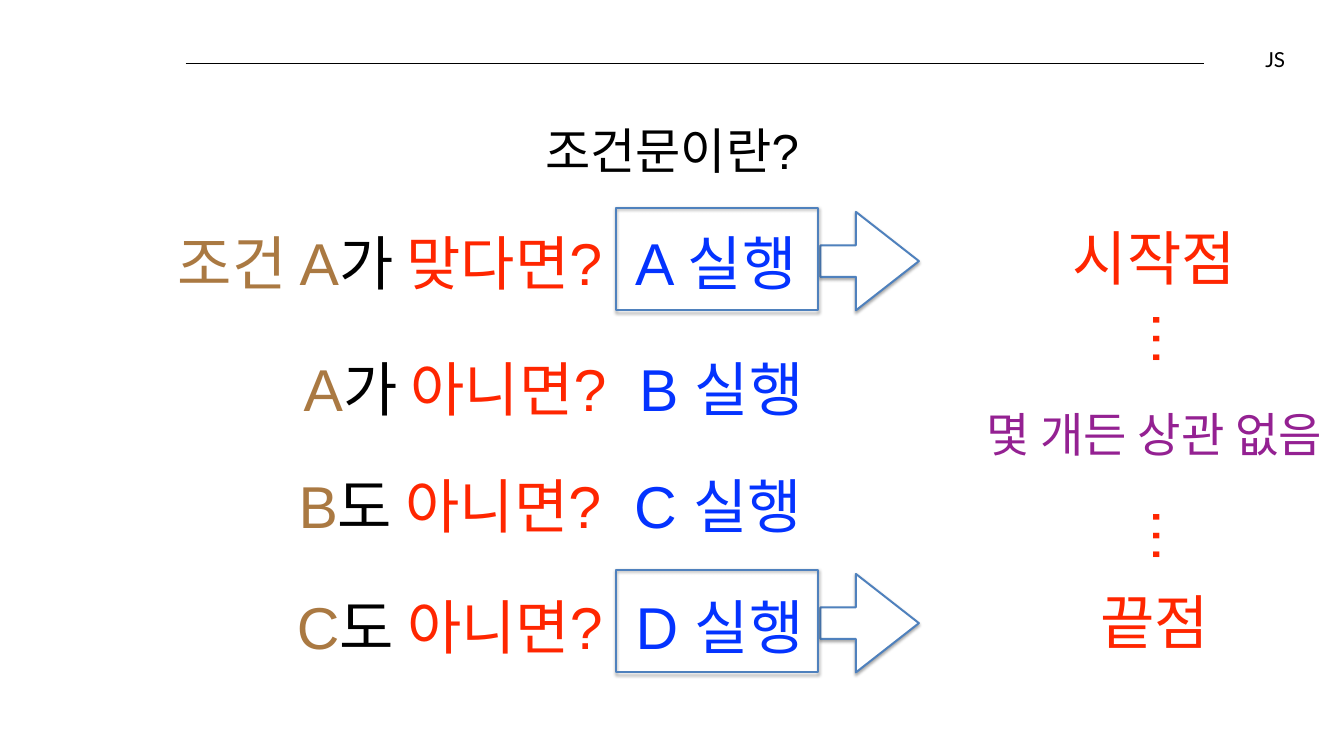
from dataclasses import dataclass

from lxml.etree import SubElement
from pptx import Presentation
from pptx.dml.color import RGBColor
from pptx.enum.shapes import MSO_CONNECTOR, MSO_SHAPE
from pptx.enum.text import MSO_ANCHOR, MSO_AUTO_SIZE, PP_ALIGN
from pptx.oxml.ns import qn
from pptx.util import Pt

PX = 9144  # EMU per px, 100 px to the inch


@dataclass(frozen=True)
class Theme:
    font: str = "Arial"
    label_font: str = "Lato"
    black: str = "000000"
    white: str = "FFFFFF"
    brown: str = "AA7942"
    red: str = "FF2600"
    blue: str = "0433FF"
    purple: str = "942192"
    outline: str = "4F81BD"
    body: int = 60
    heading: int = 50
    remark: int = 48
    label: int = 21


def add_span(para, text, *, font, size, color, spacing=0):
    span = para.add_run()
    span.text = text
    span.font.name = font
    span.font.size = Pt(size)
    span.font.color.rgb = RGBColor.from_string(color)
    if spacing:
        span.font._element.set("spc", str(spacing))


class SlideBuilder:
    def __init__(self, page, theme):
        self.page = page
        self.theme = theme

    def rule(self, left, right, top):
        line = self.page.shapes.add_connector(
            MSO_CONNECTOR.STRAIGHT, left * PX, top * PX, right * PX, top * PX)
        line.line.color.rgb = RGBColor.from_string(self.theme.black)
        line.line.width = Pt(0.75)
        SubElement(line._element.spPr, qn("a:effectLst"))

    def text(self, spans, left, top, width, height, *, size, font=None,
             align=PP_ALIGN.CENTER, inset=19, grow=True, rotation=0):
        """Spans are (text, colour) or (text, colour, letter spacing)."""
        box = self.page.shapes.add_textbox(left * PX, top * PX, width * PX, height * PX)
        box.rotation = rotation
        frame = box.text_frame
        frame.word_wrap = True
        frame.auto_size = MSO_AUTO_SIZE.SHAPE_TO_FIT_TEXT if grow else MSO_AUTO_SIZE.NONE
        frame.vertical_anchor = MSO_ANCHOR.MIDDLE
        frame.margin_left = frame.margin_right = inset * PX
        frame.margin_top = frame.margin_bottom = inset * PX
        para = frame.paragraphs[0]
        para.alignment = align
        for text, color, *spacing in spans:
            add_span(para, text, font=font or self.theme.font, size=size,
                     color=color, spacing=spacing[0] if spacing else 0)

    def condition(self, subject, particle, test, action, left, top):
        theme = self.theme
        spans = [(subject, theme.brown), (particle + " ", theme.black), (test, theme.red),
                 (" ", theme.red, 1670), (action, theme.blue)]
        self.text(spans, left, top, 1143, 144, size=theme.body)

    def outlined(self, group, kind, left, top, width, height, fill=None):
        shape = group.shapes.add_shape(kind, left * PX, top * PX, width * PX, height * PX)
        if fill:
            shape.fill.solid()
            shape.fill.fore_color.rgb = RGBColor.from_string(fill)
        else:
            shape.fill.background()
        shape.line.color.rgb = RGBColor.from_string(self.theme.outline)
        shape.line.width = Pt(2)
        shape.shadow.inherit = False
        effects = shape._element.spPr.find(qn("a:effectLst"))
        shadow = SubElement(effects, qn("a:outerShdw"), blurRad=str(Pt(3)),
                            dist=str(Pt(1.8)), dir="5400000", rotWithShape="0")
        color = SubElement(shadow, qn("a:srgbClr"), val=self.theme.black)
        SubElement(color, qn("a:alpha"), val="35000")
        return shape

    def callout(self, top):
        group = self.page.shapes.add_group_shape()
        arrow = self.outlined(group, MSO_SHAPE.RIGHT_ARROW, 1158, top + 6, 139, 139,
                              self.theme.white)
        arrow.adjustments[0] = 0.32
        arrow.adjustments[1] = 0.64
        self.outlined(group, MSO_SHAPE.RECTANGLE, 870, top, 285, 145)


def main():
    deck = Presentation()
    deck.slide_width, deck.slide_height = 1897 * PX, 1067 * PX
    theme = Theme()
    builder = SlideBuilder(deck.slides.add_slide(deck.slide_layouts[6]), theme)

    # Header
    builder.rule(262, 1699, 90)
    builder.text([("JS", theme.black)], 1265, 64, 549, 38, size=theme.label,
                 font=theme.label_font, align=PP_ALIGN.RIGHT, inset=0, grow=False)
    builder.text([("조건문이란?", theme.black)], 377, 148, 1143, 126, size=theme.heading)

    # Chain of conditions
    for row in [
        ("조건 A", "가", "맞다면?", "A 실행", 116, 297),
        ("A", "가", "아니면?", "B 실행", 210, 476),
        ("B", "도", "아니면?", "C 실행", 205, 641),
        ("C", "도", "아니면?", "D 실행", 205, 811),
    ]:
        builder.condition(*row)

    # Boxes and arrows around the first and last action
    for top in (293, 804):
        builder.callout(top)

    # Start, any number between, end
    for text, top, height, size, color in [
        ("시작점", 293, 138, theme.body, theme.red),
        ("몇 개든 상관 없음", 550, 123, theme.remark, theme.purple),
        ("끝점", 807, 138, theme.body, theme.red),
    ]:
        builder.text([(text, color)], 1058, top, 1143, height, size=size)
    for top in (409, 688):
        builder.text([("…", theme.red)], 1494, top, 335, 138, size=theme.body, rotation=90)

    deck.save("out.pptx")


if __name__ == "__main__":
    main()
